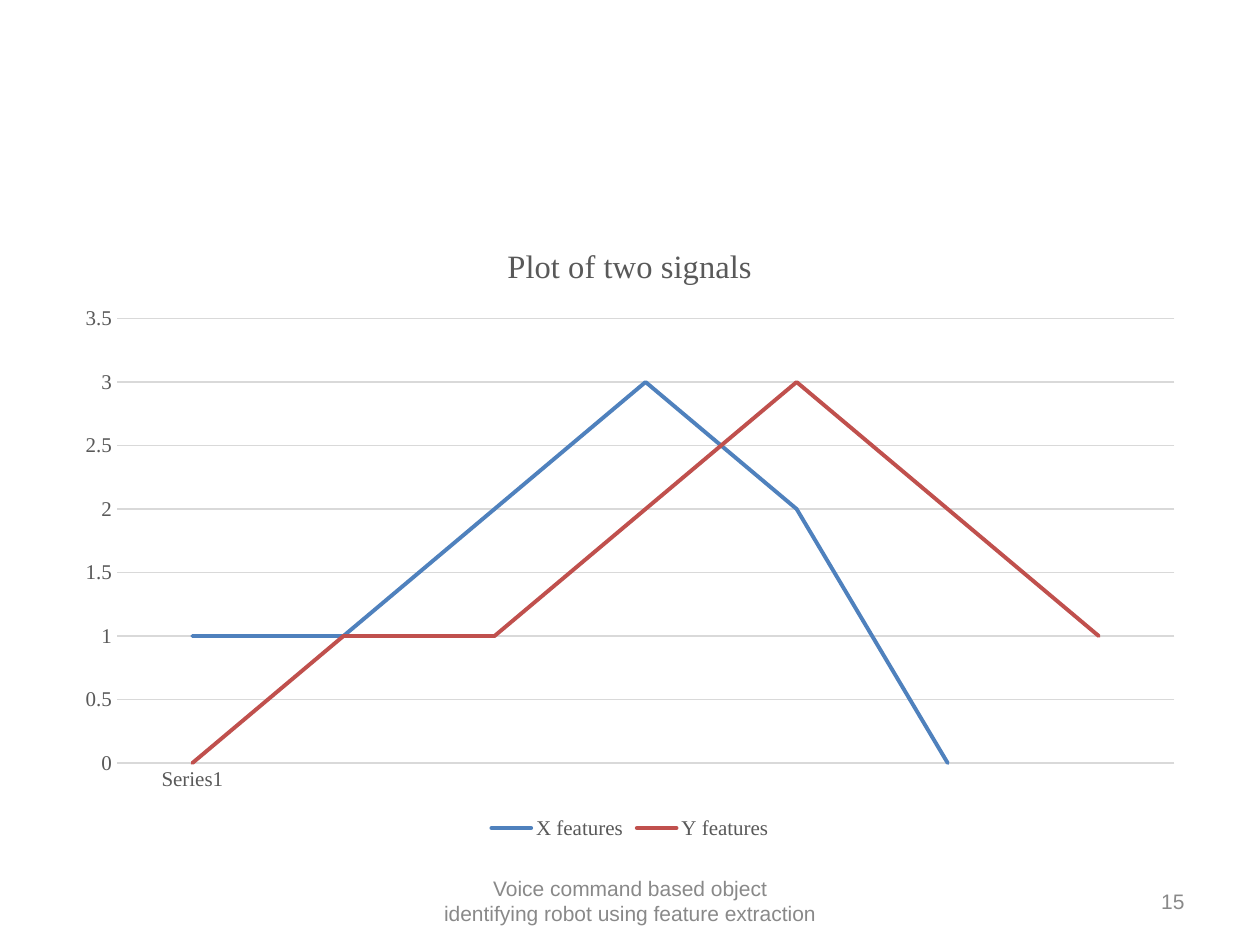
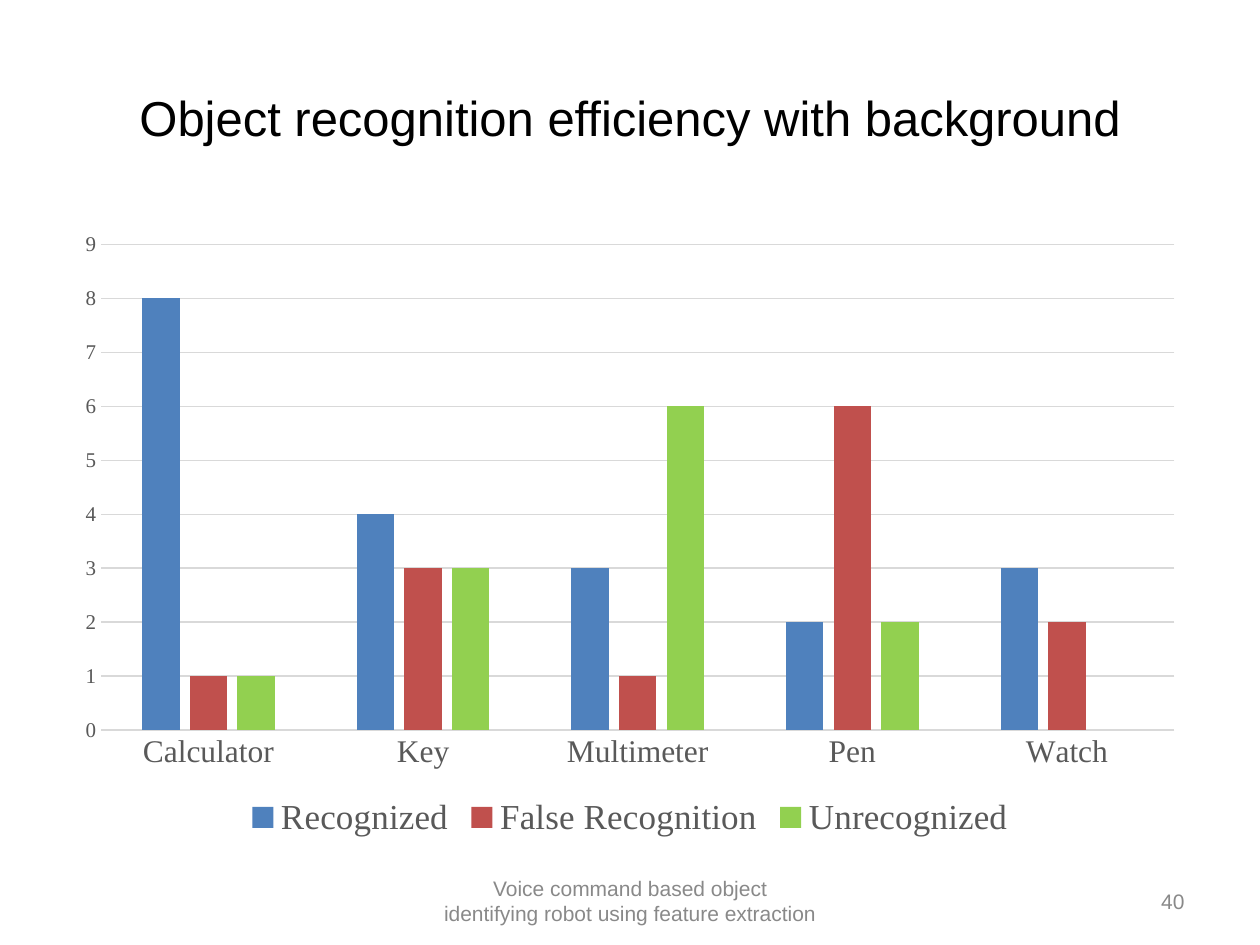
"""Build two chart slides on signal matching and object recognition."""
from pptx import Presentation
from pptx.chart.data import CategoryChartData as Data
from pptx.dml.color import RGBColor as Rgb
from pptx.enum.chart import XL_CHART_TYPE as Kind
from pptx.enum.chart import XL_LEGEND_POSITION as Spot
from pptx.enum.chart import XL_TICK_LABEL_POSITION as Label
from pptx.enum.chart import XL_TICK_MARK as Tick
from pptx.enum.text import MSO_ANCHOR as Anchor
from pptx.enum.text import PP_ALIGN as Align
from pptx.oxml.ns import qn
from pptx.util import Cm, Pt

HUES = {"ink": "000000", "foot": "898989", "text": "595959", "grid": "D9D9D9",
        "blue": "4F81BD", "red": "C0504D", "green": "92D050"}
SANS, SERIF = "Arial", "Times New Roman"
FOOTER = "Voice command based object identifying robot using feature extraction"

SLIDES = [
    {"page": 15, "kind": Kind.LINE_MARKERS, "head": "Plot of two signals",
     "cats": ["Series1"] + [""] * 6, "top": 3.5, "step": 0.5,
     "cat_size": 12, "key_size": 12,
     "rows": [("X features", "blue", (1, 1, 2, 3, 2, 0, None)),
              ("Y features", "red", (0, 1, 1, 2, 3, 2, 1))]},
    {"page": 40, "kind": Kind.COLUMN_CLUSTERED,
     "title": "Object recognition efficiency with background",
     "cats": ["Calculator", "Key", "Multimeter", "Pen", "Watch"],
     "top": 9, "step": 1, "cat_size": 18, "key_size": 20,
     "rows": [("Recognized", "blue", (8, 4, 3, 2, 3)),
              ("False Recognition", "red", (1, 3, 1, 6, 2)),
              ("Unrecognized", "green", (1, 3, 6, 2, None))]},
]
SLIDES[0]["kind"] = Kind.LINE

EDGE, WIDE = 1.27, 22.86
PLACES = {"title": (EDGE, 0.76, WIDE, 3.18), "chart": (EDGE, 4.45, WIDE, 12.57),
          "foot": (8.68, 17.65, 8.05, 1.02), "page": (18.21, 17.65, 5.92, 1.02)}
BARS = {"gap_width": 219, "overlap": -27, "vary_by_categories": False}


def apply(item, **vals):
    for name, val in vals.items():
        setattr(item, name, val)


def place(name):
    return [Cm(num) for num in PLACES[name]]


def style(font, size, hue, face=SERIF):
    apply(font, size=Pt(size), name=face, bold=False)
    font.color.rgb = Rgb.from_string(HUES[hue])


def rule(line, hue, width=0.75):
    line.color.rgb = Rgb.from_string(HUES[hue])
    line.width = Pt(width)


def write(frame, text, size, hue, align):
    apply(frame, word_wrap=True, vertical_anchor=Anchor.MIDDLE)
    para = frame.paragraphs[0]
    para.alignment = align
    run = para.add_run()
    run.text = text
    style(run.font, size, hue, SANS)


def add_foot(slide, page):
    for name, text, align in (("foot", FOOTER, Align.CENTER),
                              ("page", str(page), Align.RIGHT)):
        box = slide.shapes.add_textbox(*place(name))
        write(box.text_frame, text, 12, "foot", align)


def add_title(slide, text):
    title = slide.shapes.title
    apply(title, **dict(zip(("left", "top", "width", "height"), place("title"))))
    write(title.text_frame, text, 28, "ink", Align.CENTER)


def set_axes(chart, part):
    cat, val = chart.category_axis, chart.value_axis
    for axis, size in ((cat, part["cat_size"]), (val, 12)):
        apply(axis, major_tick_mark=Tick.NONE, minor_tick_mark=Tick.NONE,
              tick_label_position=Label.NEXT_TO_AXIS)
        style(axis.tick_labels.font, size, "text")
    rule(cat.format.line, "grid")
    val.format.line.fill.background()
    apply(val, minimum_scale=0, maximum_scale=part["top"],
          major_unit=part["step"], has_major_gridlines=True)
    rule(val.major_gridlines.format.line, "grid")


def set_rows(chart, part):
    plot = chart.plots[0]
    lines = part["kind"] == Kind.LINE
    apply(plot, **({"vary_by_categories": False} if lines else BARS))
    for row, (_, hue, _) in zip(plot.series, part["rows"]):
        if lines:
            row.smooth = False
            rule(row.format.line, hue, 2.25)
        else:
            row.format.fill.solid()
            row.format.fill.fore_color.rgb = Rgb.from_string(HUES[hue])
    for row in chart.element.iter(qn("c:ser")):
        for line in row.iter(qn("a:ln")):
            line.set("cap", "rnd")


def add_chart(slide, part):
    data = Data()
    data.categories = part["cats"]
    for name, _, vals in part["rows"]:
        data.add_series(name, vals)
    chart = slide.shapes.add_chart(part["kind"], *place("chart"), data).chart
    style(chart.font, 10, "ink")
    head = part.get("head")
    apply(chart, has_title=bool(head), has_legend=True)
    if head:
        frame = chart.chart_title.text_frame
        frame.text = head
        style(frame.paragraphs[0].runs[0].font, 18.6, "text")
    apply(chart.legend, position=Spot.BOTTOM, include_in_layout=False)
    style(chart.legend.font, part["key_size"], "text")
    set_axes(chart, part)
    set_rows(chart, part)


def main():
    deck = Presentation()
    apply(deck, slide_width=Cm(25.4), slide_height=Cm(19.05))
    for part in SLIDES:
        title = part.get("title")
        slide = deck.slides.add_slide(deck.slide_layouts[5 if title else 6])
        if title:
            add_title(slide, title)
        add_chart(slide, part)
        add_foot(slide, part["page"])
    deck.save("out.pptx")


if __name__ == "__main__":
    main()
